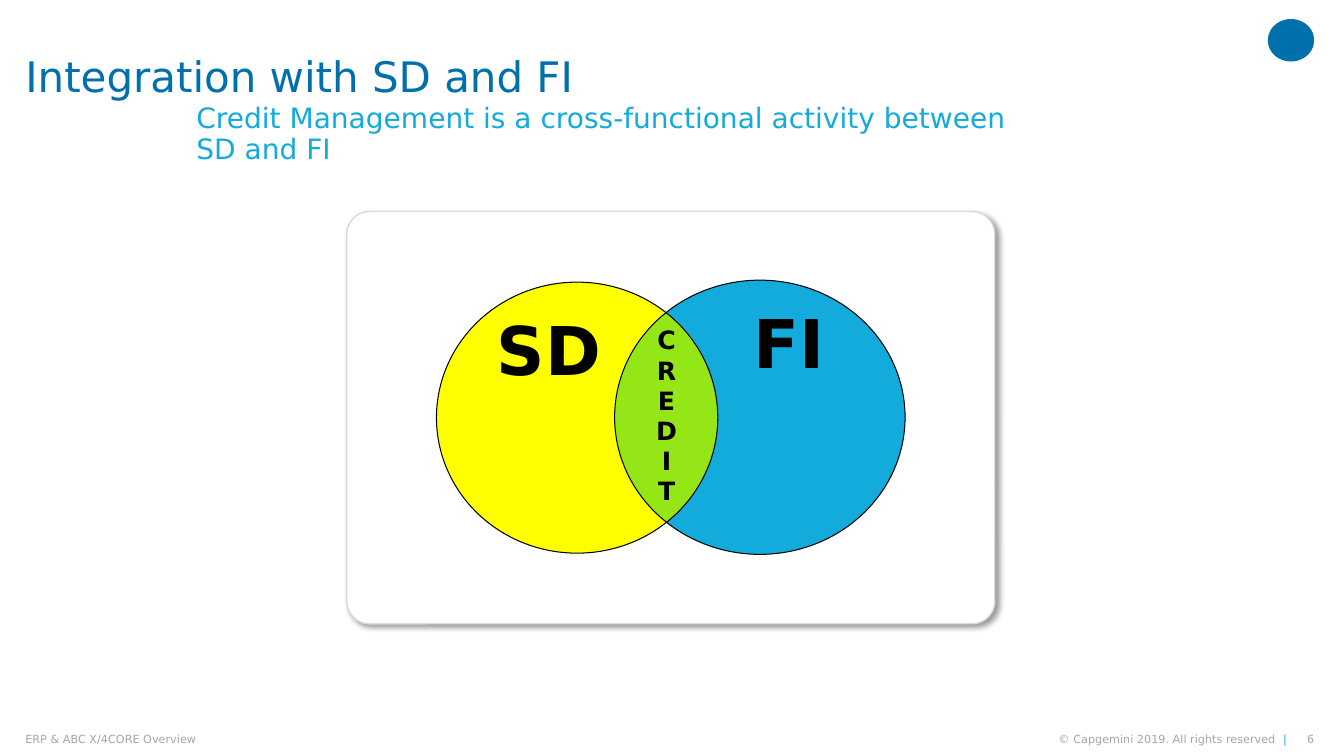
import math

import pptx
import pptx.dml.color
import pptx.enum.shapes
import pptx.enum.text
import pptx.oxml
import pptx.util

Cm = pptx.util.Cm
Pt = pptx.util.Pt
SHAPES = pptx.enum.shapes.MSO_SHAPE
ALIGN = pptx.enum.text.PP_ALIGN
ANCHOR = pptx.enum.text.MSO_ANCHOR
FONT = "DejaVu Sans"
COLORS = {
    "white": "FFFFFF", "black": "000000", "edge": "D9D9D9", "footer": "A6A6A6",
    "blue": "0070AD", "cyan": "12ABDB", "yellow": "FFFF00", "green": "95E616",
}
SHADOW = (
    '<a:effectLst xmlns:a="http://schemas.openxmlformats.org/drawingml/2006/main">'
    '<a:outerShdw blurRad="50800" dist="38100" dir="2700000" algn="tl" rotWithShape="0">'
    '<a:srgbClr val="000000"><a:alpha val="40000"/></a:srgbClr>'
    '</a:outerShdw></a:effectLst>'
)


def color(name):
    """Return the named colour."""
    return pptx.dml.color.RGBColor.from_string(COLORS[name])


def paint(shape, fill=None, line=None, width=0.75):
    """Set fill and outline, leaving out whichever is not named."""
    shape.shadow.inherit = False
    if fill:
        shape.fill.solid()
        shape.fill.fore_color.rgb = color(fill)
    else:
        shape.fill.background()
    if line:
        shape.line.color.rgb = color(line)
        shape.line.width = Pt(width)
    else:
        shape.line.fill.background()


def add_shape(page, kind, box, **style):
    """Add a painted preset shape in a box given in centimetres."""
    shape = page.shapes.add_shape(kind, *map(Cm, box))
    paint(shape, **style)
    return shape


def add_text(page, box, lines, size, margins=(0, 0, 0, 0), bold=False, wrap=True,
             anchor=ANCHOR.TOP, align=ALIGN.LEFT, spacing=None):
    """Add a text box; each line is a list of (text, colour) spans."""
    frame = page.shapes.add_textbox(*map(Cm, box)).text_frame
    sides = ("margin_left", "margin_top", "margin_right", "margin_bottom")
    formats = dict(zip(sides, map(Cm, margins)), word_wrap=wrap, vertical_anchor=anchor)
    for name, value in formats.items():
        setattr(frame, name, value)
    for index, spans in enumerate(lines):
        para = frame.add_paragraph() if index else frame.paragraphs[0]
        para.alignment = align
        para.line_spacing = spacing
        for text, shade in spans:
            if text == "\n":
                para.add_line_break()
                continue
            span = para.add_run()
            span.text = text
            for name, value in {"name": FONT, "size": Pt(size), "bold": bold}.items():
                setattr(span.font, name, value)
            span.font.color.rgb = color(shade)


def add_heading(page, box):
    """Place the title, the subtitle and the corner mark."""
    left, top, width, height = box
    add_text(page, (left, top, 30.91, 0.99), [[("Integration with SD and FI", "blue")]],
             30, margins=(0, 0.51, 0, 0), spacing=0.9)
    subtitle = [("Credit Management is a cross-functional activity between ", "cyan"),
                ("\n", "cyan"), ("SD and FI", "cyan")]
    add_text(page, (left + 4.06, top + 1.6, 24.38, 1.4), [subtitle], 20,
             margins=(0.25, 0.13, 0.25, 0.13), spacing=0.9)
    add_shape(page, SHAPES.OVAL, (left + width - 1.17, top - 0.43, 1.17, 1.07), fill="blue")


def arc(box, start, end, steps=24):
    """Return points along the ellipse in a box, between two angles."""
    left, top, width, height = box
    angles = [start + (end - start) * step / steps for step in range(steps + 1)]
    return [(Cm(left + width / 2 * (1 + math.cos(angle))),
             Cm(top + height / 2 * (1 + math.sin(angle)))) for angle in angles]


def add_lens(page, left_circle, right_circle):
    """Fill the overlap of the two circles."""
    right_edge = arc(left_circle, -0.88, 0.88)
    left_edge = arc(right_circle, math.pi - 0.87, math.pi + 0.87)
    points = right_edge + left_edge
    builder = page.shapes.build_freeform(*points[0])
    builder.add_line_segments(points[1:], close=True)
    paint(builder.convert_to_shape(), fill="green")


def add_venn(page, box):
    """Draw the panel with the two overlapping circles and their labels."""
    left, top, width, height = box
    panel = add_shape(page, SHAPES.ROUNDED_RECTANGLE, box, fill="white", line="edge", width=1)
    panel.adjustments[0] = 0.055
    effects = panel.element.spPr.find(pptx.oxml.ns.qn("a:effectLst"))
    effects.getparent().replace(effects, pptx.oxml.parse_xml(SHADOW))

    sales = (left + 2.26, top + 1.78, 7.09, 6.83)
    finance = (left + 6.75, top + 1.73, 7.32, 6.91)
    for circle, fill in ((sales, "yellow"), (finance, "cyan")):
        add_shape(page, SHAPES.OVAL, circle, fill=fill)
    add_lens(page, sales, finance)
    for circle in (sales, finance):
        add_shape(page, SHAPES.OVAL, circle, line="black")

    labels = (
        (["SD"], 48, (3.53, 2.32, 3.15, 2.31), ALIGN.LEFT),
        (["FI"], 48, (10.01, 2.14, 2.57, 2.31), ALIGN.LEFT),
        ("CREDIT", 18, (7.54, 2.72, 1.04, 4.88), ALIGN.CENTER),
    )
    for lines, size, (x, y, wide, high), align in labels:
        add_text(page, (left + x, top + y, wide, high), [[(line, "black")] for line in lines],
                 size, margins=(0.25, 0.13, 0.25, 0.13), bold=True, wrap=False, align=align)


def add_footer(page, box):
    """Place the deck name, the copyright line and the page number."""
    left, top, width, height = box
    right = left + width
    rights = [("© Capgemini 2019. All rights reserved  ", "footer"), ("|", "cyan")]
    parts = (
        (left, 13.11, [("ERP & ABC X/4CORE Overview", "footer")], ALIGN.LEFT),
        (right - 8.08, 7.39, rights, ALIGN.RIGHT),
        (right - 0.48, 0.48, [("6", "footer")], ALIGN.RIGHT),
    )
    for x, wide, spans, align in parts:
        add_text(page, (x, top, wide, height), [spans], 8, wrap=wide == 7.39,
                 anchor=ANCHOR.MIDDLE, align=align)


def main():
    """Build and save the slide."""
    deck = pptx.Presentation()
    deck.slide_width, deck.slide_height = Cm(33.87), Cm(19.05)
    page = deck.slides.add_slide(deck.slide_layouts[6])
    add_heading(page, (0.64, 0.91, 32.48, 3))
    add_venn(page, (8.74, 5.33, 16.33, 10.39))
    add_footer(page, (0.64, 18.47, 32.48, 0.33))
    deck.save("out.pptx")


if __name__ == "__main__":
    main()
